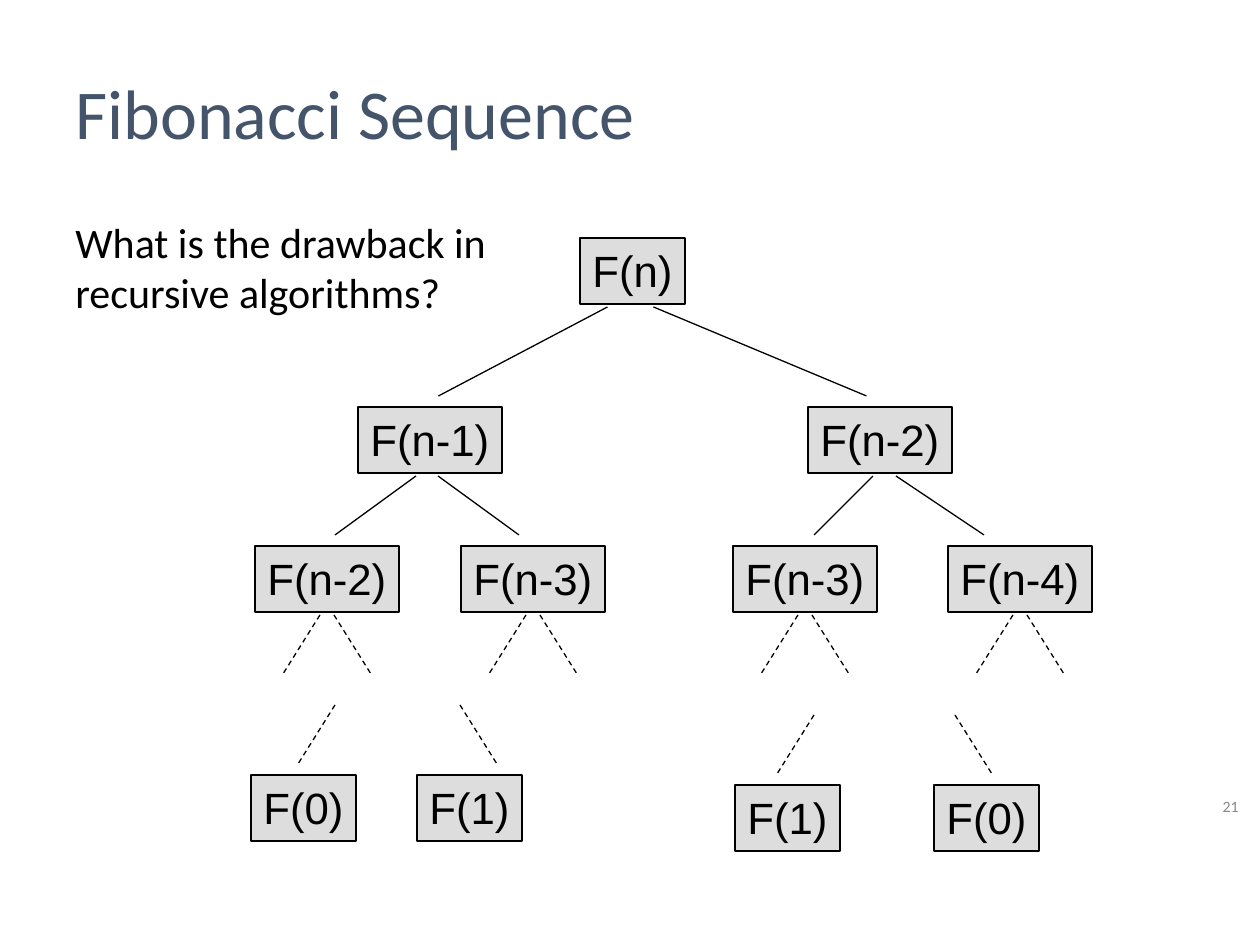
from collections import namedtuple

from lxml.etree import SubElement
from pptx import Presentation
from pptx.dml.color import RGBColor
from pptx.enum.dml import MSO_LINE
from pptx.enum.shapes import MSO_CONNECTOR, MSO_SHAPE
from pptx.enum.text import MSO_ANCHOR, PP_ALIGN
from pptx.oxml.ns import qn
from pptx.util import Emu, Pt

BLACK = RGBColor(0x00, 0x00, 0x00)
NODE_GRAY = RGBColor(0xDD, 0xDD, 0xDD)
TITLE_BLUE = RGBColor(0x44, 0x54, 0x6A)
NUMBER_GRAY = RGBColor(0x89, 0x89, 0x89)

Box = namedtuple("Box", "left top width height")
PAGE_WIDTH, PAGE_HEIGHT = 1260, 945
TITLE_BOX = Box(63, 63, 1102, 97)
QUESTION_BOX = Box(63, 210, 451, 113)
TREE_BOX = Box(251, 238, 841, 613)
NUMBER_BOX = Box(1176, 779, 75, 54)

NODE_HEIGHT = 66
SHORT_WIDTH, LONG_WIDTH = 105, 144
BRANCH_GAP = 3

# Branches: (start, end) offsets from the centre of their node
DOTTED_PAIR = ((-7, -44), (7, 44))

# Nodes: label, left and top inside the tree, branches, branch height
INNER_NODES = [
    ("F(n)", 329, 0, ((-25, -194), (21, 234)), 89),
    ("F(n-1)", 107, 169, ((-14, -95), (8, 89)), 59),
    ("F(n-2)", 557, 169, ((-7, -66), (16, 104)), 59),
]
THIRD_ROW_TOP = 308
THIRD_ROW = [("F(n-2)", 4), ("F(n-3)", 210), ("F(n-3)", 482), ("F(n-4)", 697)]
# Leaves: label, left and top, start and end of the branch above
LEAVES = [
    ("F(0)", 0, 537, 84, 47),
    ("F(1)", 166, 537, 209, 246),
    ("F(1)", 484, 547, 563, 526),
    ("F(0)", 683, 547, 704, 741),
]
LEAF_BRANCH_HEIGHT, LEAF_GAP = 59, 11


def px(length):
    return Emu(round(length * 914400 / 126))


def add_span(para, text, font, size, color):
    span = para.add_run()
    span.text = text
    span.font.name = font
    span.font.size = Pt(size)
    span.font.color.rgb = color


def add_text(page, box, text, size, color, align=PP_ALIGN.LEFT, anchor=MSO_ANCHOR.TOP):
    frame = page.shapes.add_textbox(*map(px, box)).text_frame
    frame.word_wrap = True
    frame.vertical_anchor = anchor
    para = frame.paragraphs[0]
    para.alignment = align
    add_span(para, text, "Calibri", size, color)


def add_node(group, label, left, top, width):
    node = group.shapes.add_shape(
        MSO_SHAPE.RECTANGLE, px(left), px(top), px(width), px(NODE_HEIGHT))
    node.shadow.inherit = False
    node.fill.solid()
    node.fill.fore_color.rgb = NODE_GRAY
    node.line.color.rgb = BLACK
    node.line.width = Pt(0.75)
    frame = node.text_frame
    frame.word_wrap = False
    frame.vertical_anchor = MSO_ANCHOR.TOP
    para = frame.paragraphs[0]
    para.alignment = PP_ALIGN.LEFT
    add_span(para, label, "Arial", 25, BLACK)


def add_branch(group, start_x, end_x, top, height, dashed):
    branch = group.shapes.add_connector(
        MSO_CONNECTOR.STRAIGHT, px(start_x), px(top), px(end_x), px(top + height))
    branch.line.color.rgb = BLACK
    branch.line.width = Pt(0.75)
    if dashed:
        branch.line.dash_style = MSO_LINE.DASH
    SubElement(branch.element.spPr, qn("a:effectLst"))


def add_parent(group, label, left, top, branches, height, dashed):
    width = SHORT_WIDTH if label == "F(n)" else LONG_WIDTH
    add_node(group, label, left, top, width)
    center = left + width / 2
    for start, end in branches:
        add_branch(group, center + start, center + end,
                   top + NODE_HEIGHT + BRANCH_GAP, height, dashed)


def add_tree(page, box):
    group = page.shapes.add_group_shape()
    # Upper calls with solid branches
    for label, left, top, branches, height in INNER_NODES:
        add_parent(group, label, box.left + left, box.top + top, branches, height, False)
    # Third row, whose calls go on below
    for label, left in THIRD_ROW:
        add_parent(group, label, box.left + left, box.top + THIRD_ROW_TOP,
                   DOTTED_PAIR, LEAF_BRANCH_HEIGHT, True)
    # Base cases
    for label, left, top, start, end in LEAVES:
        leaf_top = box.top + top
        add_node(group, label, box.left + left, leaf_top, SHORT_WIDTH)
        add_branch(group, box.left + start, box.left + end,
                   leaf_top - LEAF_GAP - LEAF_BRANCH_HEIGHT, LEAF_BRANCH_HEIGHT, True)


def main():
    deck = Presentation()
    deck.slide_width, deck.slide_height = px(PAGE_WIDTH), px(PAGE_HEIGHT)
    page = deck.slides.add_slide(deck.slide_layouts[6])
    add_tree(page, TREE_BOX)
    add_text(page, NUMBER_BOX, "21", 9, NUMBER_GRAY, PP_ALIGN.RIGHT, MSO_ANCHOR.MIDDLE)
    add_text(page, TITLE_BOX, "Fibonacci Sequence", 40, TITLE_BLUE)
    add_text(page, QUESTION_BOX, "What is the drawback in recursive algorithms?", 24, BLACK)
    deck.save("out.pptx")


if __name__ == "__main__":
    main()
